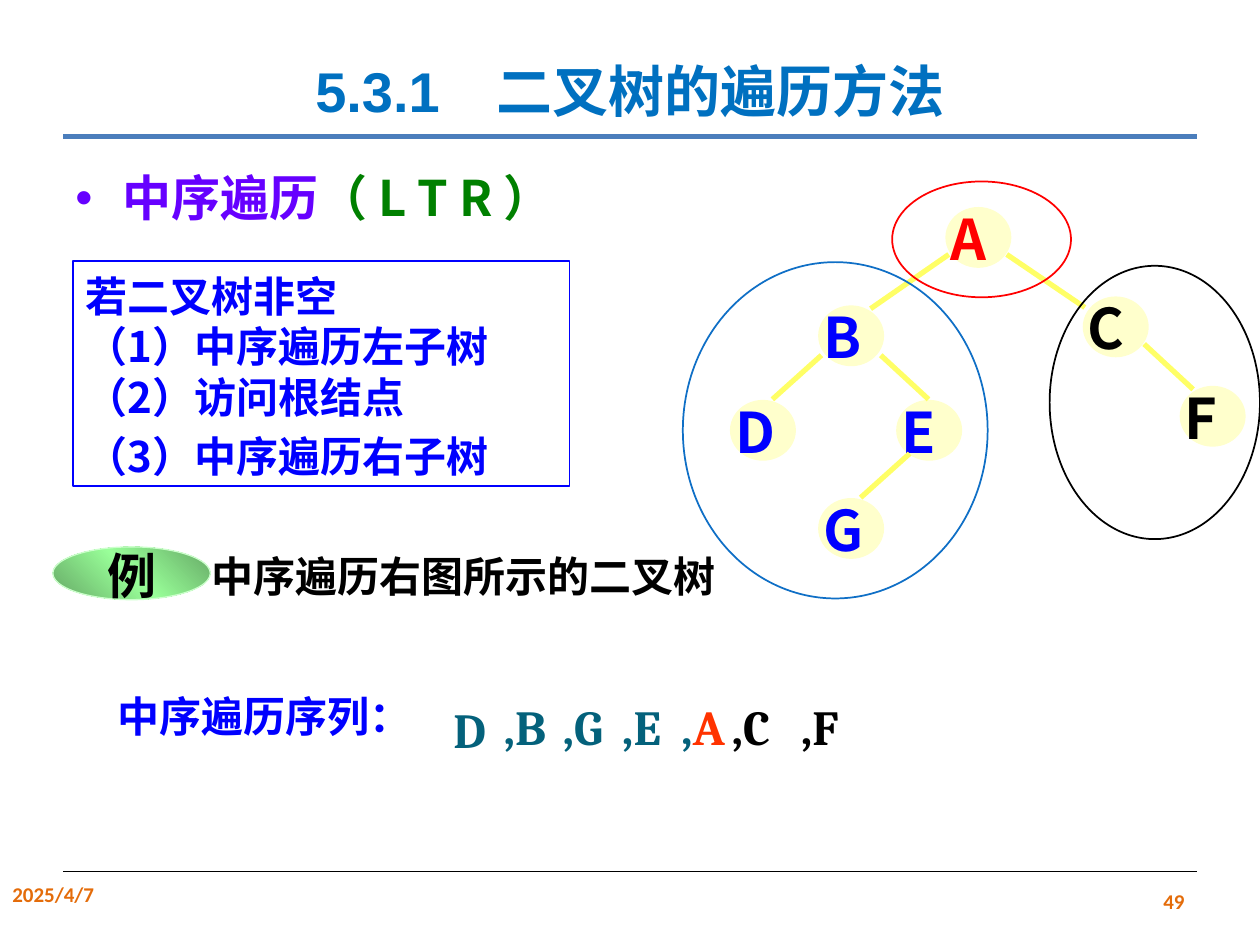
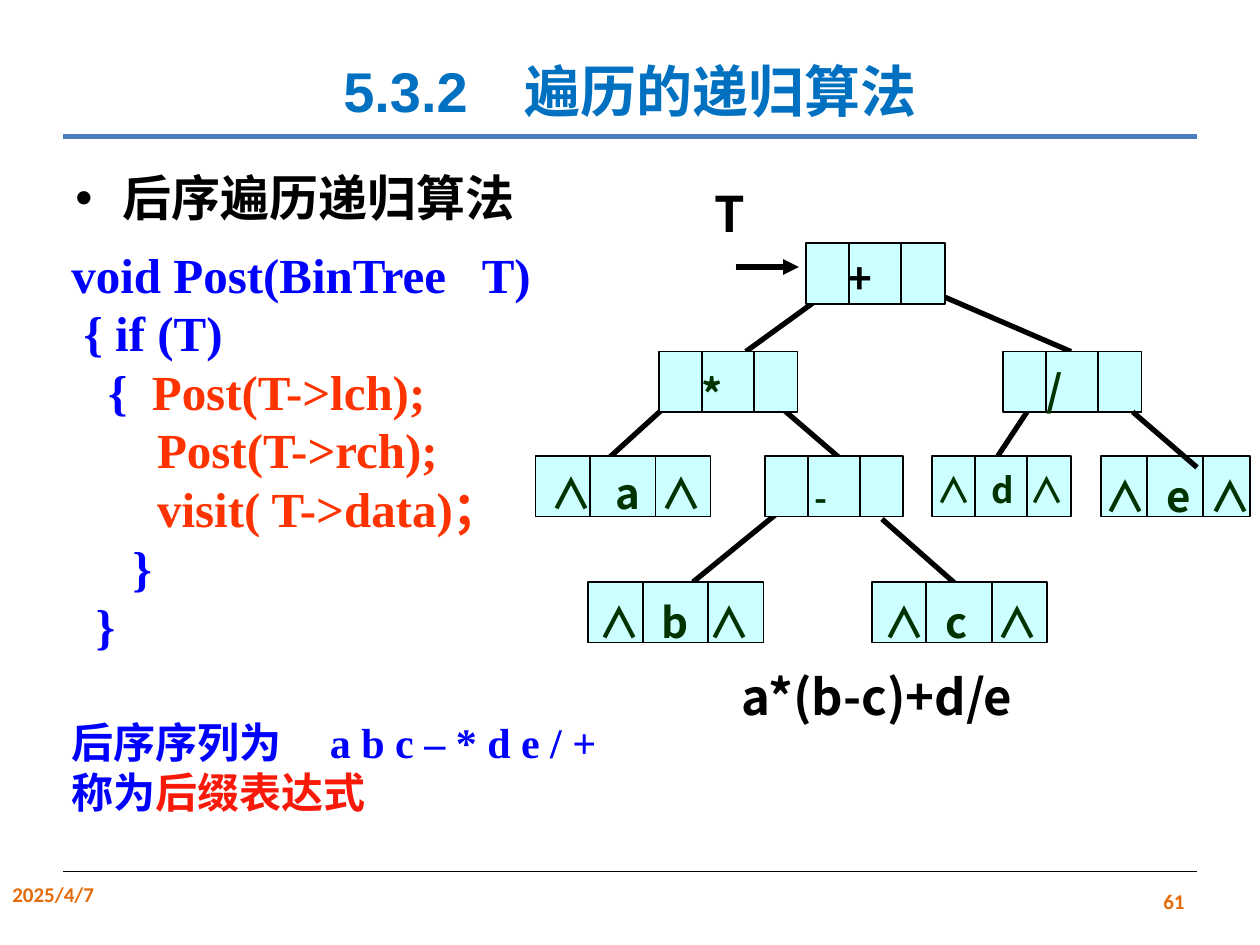
"""Builds two lecture slides on binary tree traversal."""
from dataclasses import dataclass

from pptx import Presentation
from pptx.dml.color import RGBColor
from pptx.enum.shapes import MSO_CONNECTOR as Connector, MSO_SHAPE as Shape
from pptx.enum.text import MSO_ANCHOR as Anchor, PP_ALIGN as Align
from pptx.oxml import parse_xml
from pptx.oxml.ns import nsdecls, qn
from pptx.util import Pt


@dataclass(frozen=True)
class Theme:
    title: str = "0070C0"
    rule: str = "4B7EBC"
    footer: str = "E46C0A"
    black: str = "000000"
    blue: str = "0000FF"
    purple: str = "6600FF"
    green: str = "008000"
    red: str = "FF0000"
    orange: str = "FF3300"
    suffix: str = "F81908"
    teal: str = "04617B"
    node: str = "FFFFCC"
    branch: str = "FFFF66"
    left_ring: str = "0F6FC6"
    cell: str = "CCFFFF"
    label: str = "003300"
    badge_light: str = "99FF99"
    badge_dark: str = "65A865"
    badge_edge: str = "CCFFCC"
    cjk: str = "Noto Sans CJK SC"
    sans: str = "Arial"
    serif: str = "Times New Roman"
    letters: str = "Cambria"
    small: str = "Calibri"
    huge: int = 32
    large: int = 28
    medium: int = 24
    modest: int = 20
    tiny: int = 12


theme = Theme()


def draw(slide, kind, box, line=None, width=1, fill=None):
    """Add a text box, a preset shape, or a line whose box holds its two ends."""
    lengths = [Pt(value) for value in box]
    if kind == "text":
        return slide.shapes.add_textbox(*lengths)
    if kind == "line":
        item = slide.shapes.add_connector(Connector.STRAIGHT, *lengths)
        item._element.spPr.append(parse_xml(f"<a:effectLst {nsdecls('a')}/>"))
    else:
        item = slide.shapes.add_shape(kind, *lengths)
        item.shadow.inherit = False
        if fill:
            item.fill.solid()
            item.fill.fore_color.rgb = RGBColor.from_string(fill)
        else:
            item.fill.background()
    item.line.color.rgb = RGBColor.from_string(line)
    item.line.width = Pt(width)
    return item


def write(shape, paragraphs, size, font=theme.cjk, leading=None, align=Align.LEFT,
          anchor=Anchor.TOP, wrap=True, left=7.2, top=3.6, tabs=()):
    """Fill a shape with paragraphs, each a list of (text, colour) runs."""
    frame = shape.text_frame
    frame.word_wrap = wrap
    frame.vertical_anchor = anchor
    frame.margin_left, frame.margin_top = Pt(left), Pt(top)
    for index, runs in enumerate(paragraphs):
        paragraph = frame.add_paragraph() if index else frame.paragraphs[0]
        paragraph.alignment = align
        if leading:
            paragraph.line_spacing = Pt(leading)
        if tabs:
            stops = "".join(f'<a:tab pos="{Pt(stop)}" algn="{kind}"/>' for stop, kind in tabs)
            paragraph._p.get_or_add_pPr().append(
                parse_xml(f"<a:tabLst {nsdecls('a')}>{stops}</a:tabLst>"))
        for text, colour in runs:
            run = paragraph.add_run()
            run.text = text
            run.font.size, run.font.bold, run.font.name = Pt(size), True, font
            run.font.color.rgb = RGBColor.from_string(colour)
            run._r.get_or_add_rPr().append(
                parse_xml(f'<a:ea {nsdecls("a")} typeface="{theme.cjk}"/>'))
    return frame


deck = Presentation()
deck.slide_width, deck.slide_height = Pt(720), Pt(540)

headings = [
    ("5.3.1　二叉树的遍历方法", "49", theme.cjk,
     [("中序遍历", theme.purple), ("（ L T R ）", theme.green)]),
    ("5.3.2　遍历的递归算法", "61", theme.small, [("后序遍历递归算法", theme.black)]),
]
for title, number, topic_font, topic in headings:
    slide = deck.slides.add_slide(deck.slide_layouts[6])
    draw(slide, "line", (36, 77.8, 684, 77.8), theme.rule, 2.75)
    draw(slide, "line", (36, 498.2, 684, 498.2), theme.black, 0.75)
    write(draw(slide, "text", (36, 0, 648, 78.5)), [[(title, theme.title)]], theme.huge,
          theme.sans, leading=63, align=Align.CENTER, anchor=Anchor.MIDDLE)
    write(draw(slide, "text", (0, 500.4, 167.8, 28.8)), [[("2025/4/7", theme.footer)]],
          theme.tiny, theme.small)
    write(draw(slide, "text", (516.2, 500.4, 167.8, 28.8)), [[(number, theme.footer)]],
          theme.tiny, theme.small, align=Align.RIGHT, anchor=Anchor.MIDDLE)
    topic_frame = write(draw(slide, "text", (36, 90, 648, 40)), [topic], theme.large,
                        topic_font, leading=36)
    bullet = topic_frame.paragraphs[0]._p.get_or_add_pPr()
    bullet.set("marL", str(Pt(27)))
    bullet.set("indent", str(Pt(-27)))
    bullet.append(parse_xml(f'<a:buFont {nsdecls("a")} typeface="Arial"/>'))
    bullet.append(parse_xml(f'<a:buChar {nsdecls("a")} char="•"/>'))

inorder, postorder = deck.slides

steps = ["若二叉树非空", "（1）中序遍历左子树", "（2）访问根结点", "（3）中序遍历右子树"]
steps_box = draw(inorder, Shape.RECTANGLE, (41.8, 149, 283.7, 128.9), theme.blue)
steps_frame = write(steps_box, [[(step, theme.blue)] for step in steps], theme.medium,
                    leading=28.8, top=5.6)
steps_frame.paragraphs[-1].space_before = Pt(4.8)

write(draw(inorder, "text", (113.8, 311, 330, 36)),
      [[("中序遍历右图所示的二叉树", theme.black)]], theme.medium, leading=28.8)
write(draw(inorder, "text", (59.8, 391, 214, 36)),
      [[("中序遍历序列：", theme.blue)]], theme.medium, leading=28.8)

tree = [
    ("A", 540.7, 118.8, theme.red),
    ("B", 468, 175, theme.blue),
    ("C", 619.2, 169.9, theme.black),
    ("D", 417.6, 229, theme.blue),
    ("E", 512.6, 229, theme.blue),
    ("F", 674.6, 221, theme.black),
    ("G", 468, 285.1, theme.blue),
]
for letter, x, y, colour in tree:
    draw(inorder, Shape.OVAL, (x, y, 36.7, 33.8), theme.node, 1, theme.node)
    write(draw(inorder, "text", (x - 9.5, y - 9.2, 67, 46)), [[(letter, colour)]],
          theme.huge, leading=42, left=12)

branches = [
    (542.2, 145.4, 497.5, 176.4), (575.3, 145.4, 619.9, 175.7), (503.3, 203, 530.6, 228.2),
    (519.8, 259.2, 491.8, 284.4), (469.4, 203, 441.4, 228.2), (653.8, 196.6, 681.8, 222.5),
]
for branch in branches:
    draw(inorder, "line", branch, theme.branch, 3)

rings = [
    ((390.2, 149.8, 174.2, 192.2), theme.left_ring),
    ((599.8, 151.9, 120.2, 156.2), theme.black),
    ((509.8, 103.7, 102.2, 66.2), theme.red),
]
for ring, colour in rings:
    draw(inorder, Shape.OVAL, ring, colour)

badge = draw(inorder, Shape.OVAL, (30.2, 312.5, 90, 30.2), theme.badge_edge, 0.75,
             theme.badge_light)
badge_stops = [(0, theme.badge_dark), (50000, theme.badge_light), (100000, theme.badge_dark)]
gradient = "".join(f'<a:gs pos="{pos}"><a:srgbClr val="{colour}"/></a:gs>'
                   for pos, colour in badge_stops)
badge_properties = badge._element.spPr
badge_properties.replace(badge_properties.find(qn("a:solidFill")), parse_xml(
    f'<a:gradFill {nsdecls("a")}><a:gsLst>{gradient}</a:gsLst><a:lin ang="18900000"/></a:gradFill>'))
badge_frame = write(badge, [[("例", theme.black)]], theme.large, theme.serif, leading=36,
                    align=Align.CENTER, anchor=Anchor.MIDDLE, wrap=False, top=0)
badge_frame.margin_bottom = Pt(0)

visits = [
    (252, 396, [("D", theme.teal)]),
    (280.8, 394.5, [(",B", theme.teal)]),
    (314.6, 394.5, [(",G", theme.teal)]),
    (348.5, 394.5, [(",E", theme.teal)]),
    (382.3, 394.5, [(",", theme.teal), ("A", theme.orange)]),
    (411.1, 394.5, [(",C", theme.black)]),
    (450.7, 394.5, [(",F", theme.black)]),
]
for x, y, visit in visits:
    write(draw(inorder, "text", (x, y, 41, 41)), [visit], theme.large, theme.letters, wrap=False)

code = [
    [("void Post(BinTree   T)", theme.blue)],
    [(" { if (T)", theme.blue)],
    [("   {  ", theme.blue), ("Post(T->lch);", theme.orange)],
    [("       Post(T->rch);", theme.orange)],
    [("       visit( T->data)；", theme.orange)],
    [("     }", theme.blue)],
    [("  }", theme.blue)],
]
write(draw(postorder, "text", (33.8, 136, 330, 242)), code, theme.large, theme.serif,
      leading=33.5)
result = [
    [("后序序列为\ta b c – * d e / +", theme.blue)],
    [("称为", theme.blue), ("后缀表达式", theme.suffix)],
]
write(draw(postorder, "text", (33.8, 406, 400, 65)), result, theme.medium, theme.serif,
      leading=28.6, tabs=[(147.6, "l")])

links = [
    (468, 170.6, 426.2, 200.9), (528.5, 164.9, 612, 200.9), (381.6, 231.1, 342, 267.1),
    (589.7, 231.1, 570.2, 260.6), (444.2, 231.1, 486, 267.1), (447.1, 290.9, 396, 332.6),
    (504, 296.6, 552.2, 339.1),
]
for link in links:
    draw(postorder, "line", link, theme.black, 3)

records = [
    (460.8, 139, 79.2, "+", 484.5, 138.5, theme.medium, ()),
    (376.6, 200.9, 79.2, "*", 401, 204.8, theme.medium, ()),
    (573.1, 200.9, 79.2, "/", 598, 202.3, theme.medium, ()),
    (437, 260.6, 79.2, "-", 465.5, 266.7, theme.modest, ()),
    (306, 260.6, 100.1, "∧\ta\t∧", 314.6, 261.4, theme.medium, (44, 75)),
    (532.8, 260.6, 79.2, "∧\td\t∧", 535, 262.1, theme.modest, (38, 63)),
    (629.3, 260.6, 85, "∧\te\t∧", 631, 262.8, theme.medium, (42.5, 72)),
    (336.2, 332.6, 100.1, "∧\tb\t∧", 342, 334.8, theme.medium, (44, 75)),
    (498.2, 332.6, 100.1, "∧\tc\t∧", 504.7, 334.8, theme.medium, (42, 77)),
]
record_height = 34.6
for x, y, width, label, label_x, label_y, size, stops in records:
    draw(postorder, Shape.RECTANGLE, (x, y, width, record_height), theme.black, 1, theme.cell)
    for share in (0.31, 0.685):
        divider = x + share * width
        draw(postorder, "line", (divider, y, divider, y + record_height), theme.black)
    colour = theme.black if label == "+" else theme.label
    write(draw(postorder, "text", (label_x, label_y, 110, 36)), [[(label, colour)]], size,
          leading=1.3 * size, left=0, tabs=[(stop, "ctr") for stop in stops])

draw(postorder, "line", (647.3, 235.4, 684, 267.1), theme.black, 3)
pointer = draw(postorder, "line", (420.5, 152.6, 456.5, 152.6), theme.black, 3)
pointer.line._get_or_add_ln().append(parse_xml(f'<a:tailEnd {nsdecls("a")} type="triangle"/>'))
for caption, box in [("T", (378, 98.6, 77.8, 41)), ("a*(b-c)+d/e", (416.2, 374.4, 170, 41))]:
    write(draw(postorder, "text", box), [[(caption, theme.black)]], theme.large,
          leading=36.4, align=Align.CENTER, wrap=False)

deck.save("out.pptx")
